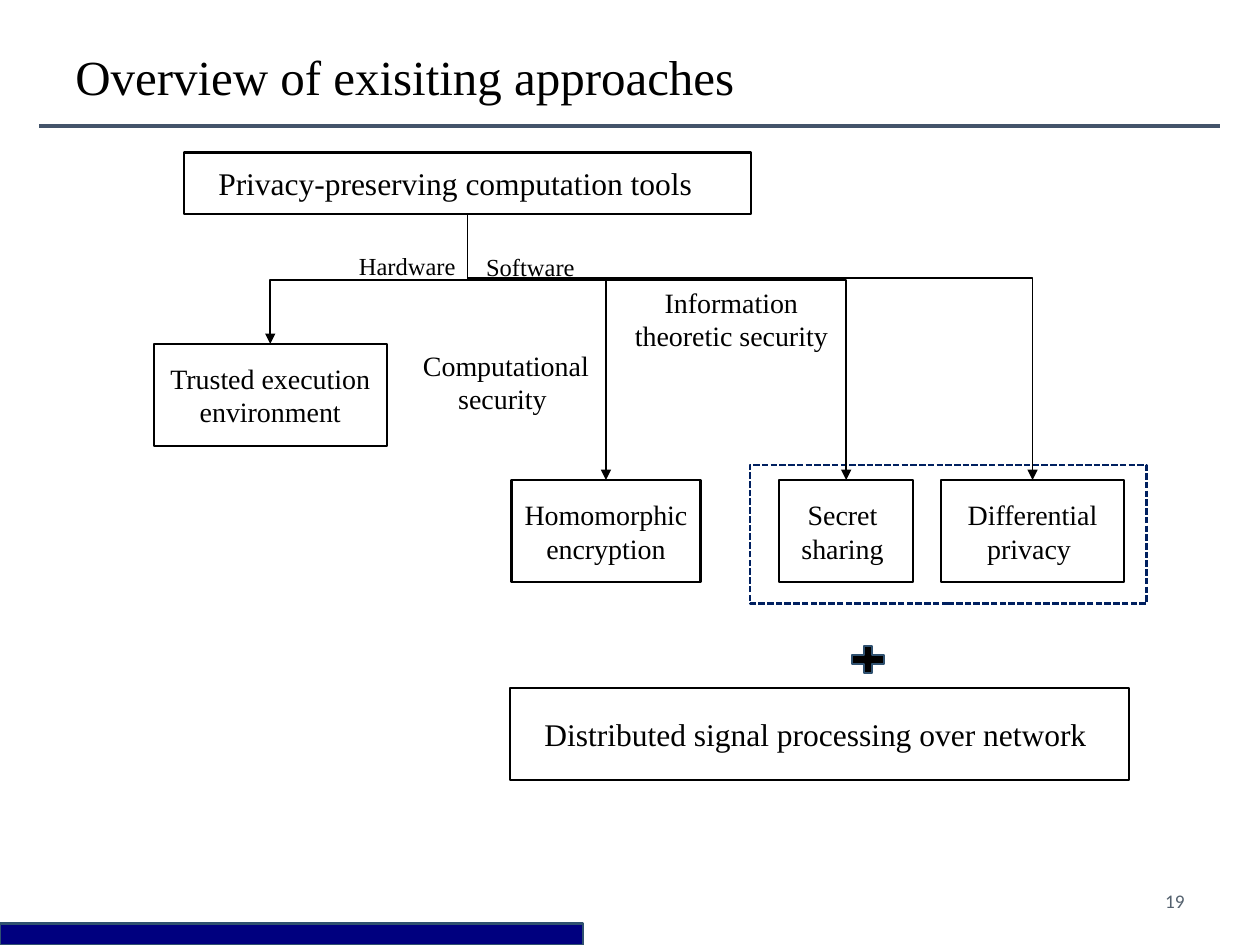
from lxml import etree
from pptx import Presentation
from pptx import util as u
from pptx.dml import color
from pptx.enum import dml, shapes, text
from pptx.oxml import ns

SERIF = "Times New Roman"
BLACK = "000000"
NAVY_EDGE = "2F5170"
CENTER = text.PP_ALIGN.CENTER
MIDDLE = text.MSO_ANCHOR.MIDDLE


def rgb(value):
    return color.RGBColor.from_string(value)


def inches(*lengths):
    return [u.Inches(length) for length in lengths]


def write(shape, lines, size, align=CENTER, anchor=MIDDLE, font=SERIF, ink=BLACK):
    frame = shape.text_frame
    frame.word_wrap = True
    frame.vertical_anchor = anchor
    frame.text = lines
    for paragraph in frame.paragraphs:
        paragraph.alignment = align
        paragraph.font.name = font
        paragraph.font.size = u.Pt(size)
        paragraph.font.color.rgb = rgb(ink)


def add_label(slide, place, lines, size, **style):
    label = slide.shapes.add_textbox(*inches(*place))
    write(label, lines, size, **style)


def add_figure(slide, place, line, fill=None, preset=shapes.MSO_SHAPE.RECTANGLE):
    shape = slide.shapes.add_shape(preset, *inches(*place))
    shape.shadow.inherit = False
    if fill:
        shape.fill.solid()
        shape.fill.fore_color.rgb = rgb(fill)
    else:
        shape.fill.background()
    shape.line.color.rgb = rgb(line)
    shape.line.width = u.Pt(1.25)
    return shape


def add_box(slide, place, lines, size=16):
    box = add_figure(slide, place, BLACK)
    write(box, lines, size)
    return box


def add_line(slide, kind, ends, ink, width):
    connector = slide.shapes.add_connector(kind, *inches(*ends))
    connector.line.color.rgb = rgb(ink)
    connector.line.width = u.Pt(width)
    etree.SubElement(connector._element.spPr, ns.qn("a:effectLst"))
    return connector


def add_branch(slide, start, end, bend):
    (x1, y1), (x2, y2) = start, end
    length, spread = y2 - y1, abs(x2 - x1)
    left = (x1 + x2 - length) / 2
    top = (y1 + y2 - spread) / 2
    ends = (left, top, left + length, top + spread)
    connector = add_line(slide, shapes.MSO_CONNECTOR.ELBOW, ends, BLACK, 1)
    properties = connector._element.spPr
    transform = properties.find(ns.qn("a:xfrm"))
    if x2 < x1:
        transform.set("rot", "5400000")
    else:
        transform.set("rot", "16200000")
        transform.set("flipH", "1")
    geometry = properties.find(ns.qn("a:prstGeom"))
    adjustments = geometry.find(ns.qn("a:avLst"))
    if adjustments is None:
        adjustments = etree.SubElement(geometry, ns.qn("a:avLst"))
    etree.SubElement(adjustments, ns.qn("a:gd"), name="adj1",
                     fmla=f"val {round(bend / length * 100000)}")
    outline = properties.find(ns.qn("a:ln"))
    etree.SubElement(outline, ns.qn("a:tailEnd"), type="triangle")


def main():
    presentation = Presentation()
    presentation.slide_width, presentation.slide_height = inches(10, 7.5)
    slide = presentation.slides.add_slide(presentation.slide_layouts[6])

    add_line(slide, shapes.MSO_CONNECTOR.STRAIGHT, (0.31, 1, 9.68, 1), "44546A", 2)
    add_label(slide, (0.5, 0.3, 9, 0.6), "Overview of exisiting approaches", 28,
              align=text.PP_ALIGN.LEFT)
    add_label(slide, (7.17, 6.95, 2.33, 0.4), "19", 11,
              align=text.PP_ALIGN.RIGHT, font="Calibri", ink="54616E")

    root = add_box(slide, (1.46, 1.21, 4.5, 0.49),
                   "Privacy-preserving computation tools", 18)
    root.text_frame.margin_right = u.Inches(0.29)
    add_box(slide, (4.05, 5.46, 4.91, 0.73),
            "Distributed signal processing over network ", 18)

    approaches = [
        (1.22, 2.73, 1.85, "Trusted execution environment"),
        (4.06, 3.81, 1.5, "Homomorphic encryption"),
        (6.18, 3.81, 1.07, "Secret \nsharing "),
        (7.47, 3.81, 1.45, "Differential privacy "),
    ]
    for left, top, width, name in approaches:
        add_box(slide, (left, top, width, 0.81), name)

    for place, name in [((3.76, 1.95, 2, 0.34), "Software"),
                        ((2.75, 1.94, 1.57, 0.34), "Hardware")]:
        add_label(slide, place, name, 14, align=text.PP_ALIGN.LEFT,
                  anchor=text.MSO_ANCHOR.TOP)
    add_label(slide, (3.24, 2.73, 1.55, 0.6), "Computational security ", 16)
    add_label(slide, (4.93, 2.23, 1.75, 0.6), "Information theoretic security", 16)

    group = add_figure(slide, (5.95, 3.69, 3.15, 1.1), "002060")
    group.line.dash_style = dml.MSO_LINE.SQUARE_DOT
    add_figure(slide, (6.72, 5.09, 0.34, 0.29), NAVY_EDGE, BLACK,
               shapes.MSO_SHAPE.MATH_PLUS)

    for (left, top, width, _), bend in zip(approaches, (0.51, 0.51, 0.51, 0.5)):
        add_branch(slide, (3.71, 1.71), (left + width / 2, top), bend)

    add_figure(slide, (0, 7.33, 4.63, 0.17), NAVY_EDGE, "00007F")
    presentation.save("out.pptx")


if __name__ == "__main__":
    main()
